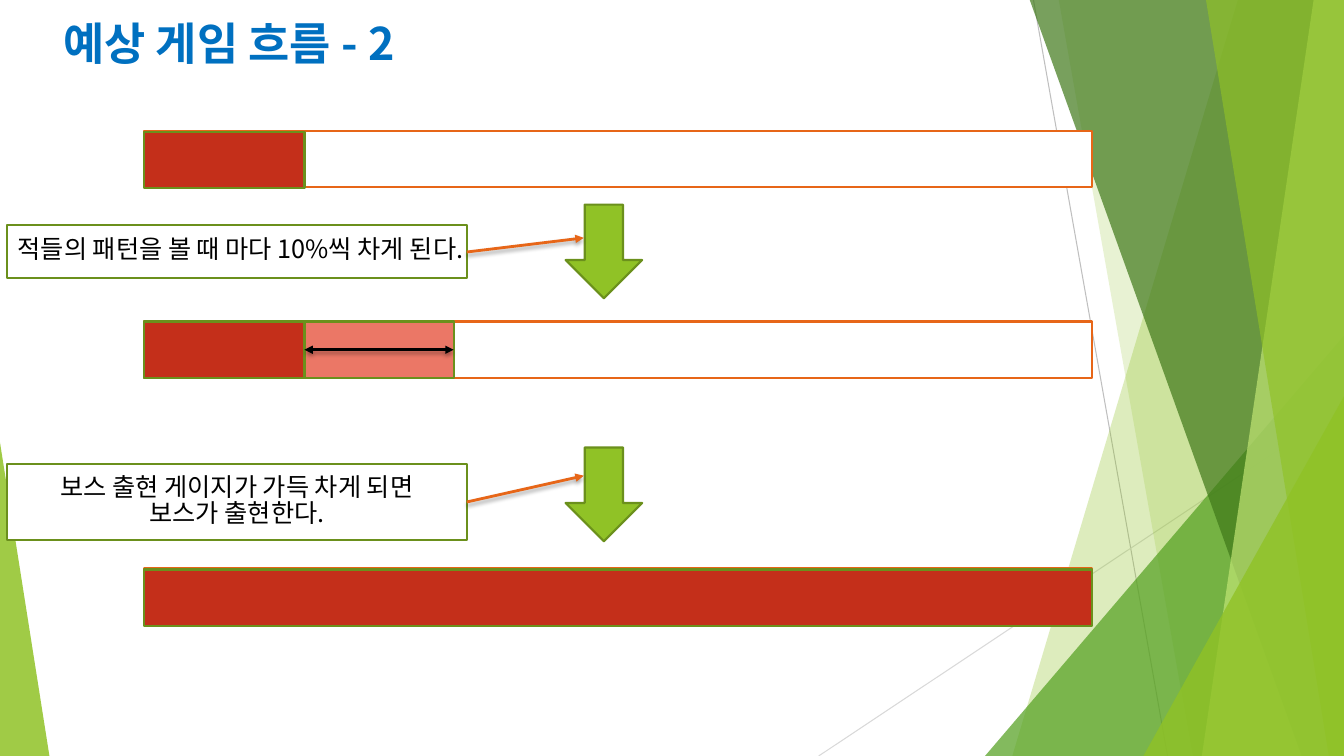
from typing import NamedTuple, Optional

from lxml.etree import SubElement
from pptx import Presentation
from pptx.dml.color import RGBColor
from pptx.enum.shapes import MSO_CONNECTOR as Link, MSO_SHAPE as Preset
from pptx.enum.text import MSO_ANCHOR as Anchor, PP_ALIGN as Align
from pptx.oxml.ns import qn
from pptx.util import Inches, Pt

FONT = "Noto Sans CJK KR"
COLORS = {
    "white": "FFFFFF", "black": "000000", "title": "0070C0",
    "lime": "90C226", "pale": "C0E474", "leaf": "54A021", "forest": "3F7819",
    "edge": "6B901C", "orange": "E76618", "red": "C42F1A", "pink": "EB7766",
    "gray": "BFBFBF", "silver": "D9D9D9",
}
TOP, BOTTOM, RIGHT = -0.01, 7.5, 13.33
GAUGE_LEFT, GAUGE_WIDTH, GAUGE_HEIGHT = 1.43, 9.4, 0.56
FILLED, GAINED = 1.59, 3.07


class Band(NamedTuple):
    """Slanted strip reaching the right edge of the page."""
    top_x: float
    bottom_x: float
    color: str
    alpha: int


class Corner(NamedTuple):
    left: float
    top: float
    width: float
    apex: float
    color: str
    alpha: int


class Bar(NamedTuple):
    top: float
    width: float
    fill: str
    line: str


class Step(NamedTuple):
    arrow_top: float
    note_top: float
    note_height: float
    link_start: float
    link_end: float
    lines: tuple[str, ...]


BANDS_BACK = [Band(12.28, 10.04, "lime", 30), Band(10.5, 11.83, "lime", 20)]
BANDS_FRONT = [Band(10.21, 12.91, "forest", 70), Band(13.03, 11.92, "pale", 70),
               Band(11.96, 13.18, "lime", 65)]
CORNER_BACK = Corner(9.77, 3.33, 3.56, 1, "leaf", 72)
CORNERS_FRONT = [Corner(11.34, 3.93, 1.99, 1, "lime", 80),
                 Corner(0, 4.39, 0.49, 0, "lime", 85)]
BARS = [
    Bar(1.3, GAUGE_WIDTH, "white", "orange"),
    Bar(1.31, FILLED, "red", "edge"),
    Bar(3.19, GAUGE_WIDTH, "white", "orange"),
    Bar(3.19, GAINED, "pink", "edge"),
    Bar(3.19, FILLED, "red", "edge"),
    Bar(5.64, GAUGE_WIDTH, "white", "orange"),
    Bar(5.65, GAUGE_WIDTH, "red", "edge"),
]
STEPS = [
    Step(2.03, 2.23, 0.53, 2.5, 2.36, ("적들의 패턴을 볼 때 마다 10%씩 차게 된다.",)),
    Step(4.44, 4.6, 0.76, 4.98, 4.72,
         ("보스 출현 게이지가 가득 차게 되면", "보스가 출현한다.")),
]

deck = Presentation()
deck.slide_width, deck.slide_height = Inches(RIGHT), Inches(BOTTOM)
page = deck.slides.add_slide(deck.slide_layouts[6])


def rgb(name: str) -> RGBColor:
    return RGBColor.from_string(COLORS[name])


def paint(shape, fill: str, line: Optional[str] = None, alpha: int = 100) -> None:
    shape.shadow.inherit = False
    shape.fill.solid()
    shape.fill.fore_color.rgb = rgb(fill)
    if alpha < 100:
        color = shape.fill._xPr.find(qn("a:solidFill"))[0]
        SubElement(color, qn("a:alpha"), val=str(alpha * 1000))
    if line:
        shape.line.color.rgb = rgb(line)
        shape.line.width = Pt(1.5)
    else:
        shape.line.fill.background()


def add_preset(kind, left: float, top: float, width: float, height: float,
               fill: str, line: Optional[str] = None, alpha: int = 100):
    shape = page.shapes.add_shape(
        kind, Inches(left), Inches(top), Inches(width), Inches(height))
    paint(shape, fill, line, alpha)
    return shape


def add_band(band: Band) -> None:
    builder = page.shapes.build_freeform(
        Inches(band.top_x), Inches(TOP), scale=1.0)
    corners = [(RIGHT, TOP), (RIGHT, BOTTOM), (band.bottom_x, BOTTOM)]
    builder.add_line_segments([(Inches(x), Inches(y)) for x, y in corners])
    paint(builder.convert_to_shape(), band.color, alpha=band.alpha)


def add_corner(corner: Corner) -> None:
    shape = add_preset(Preset.ISOSCELES_TRIANGLE, corner.left, corner.top,
                       corner.width, BOTTOM - corner.top, corner.color,
                       alpha=corner.alpha)
    shape.adjustments[0] = corner.apex


def add_line(start: tuple[float, float], end: tuple[float, float], color: str,
             width: float, heads: tuple[str, ...] = (), shadow: bool = False) -> None:
    line = page.shapes.add_connector(
        Link.STRAIGHT, *(Inches(value) for value in start + end))
    line.line.color.rgb = rgb(color)
    line.line.width = Pt(width)
    for head in heads:
        SubElement(line.line._get_or_add_ln(), qn(f"a:{head}"), type="triangle")
    effects = SubElement(line._element.spPr, qn("a:effectLst"))
    if shadow:
        outer = SubElement(effects, qn("a:outerShdw"), blurRad=str(Pt(3)),
                           dist=str(Pt(2)), dir="5400000", rotWithShape="0")
        tone = SubElement(outer, qn("a:srgbClr"), val=COLORS["black"])
        SubElement(tone, qn("a:alpha"), val="35000")


def write(box, lines: tuple[str, ...], *, size: float, color: str, bold: bool = False,
          align=Align.LEFT, anchor=Anchor.TOP, spacing: float = 1.0) -> None:
    frame = box.text_frame
    frame.word_wrap = True
    frame.vertical_anchor = anchor
    for index, text in enumerate(lines):
        para = frame.add_paragraph() if index else frame.paragraphs[0]
        para.alignment, para.line_spacing = align, spacing
        span = para.add_run()
        span.text = text
        span.font.size, span.font.bold = Pt(size), bold
        span.font.color.rgb = rgb(color)
        span.font.name = FONT
        SubElement(span.font._element, qn("a:ea"), typeface=FONT)


# Background decoration
add_line((10.25, 0), (11.58, BOTTOM), "gray", 0.75)
add_line((RIGHT, 4.03), (8.12, BOTTOM), "silver", 0.75)
for strip in BANDS_BACK:
    add_band(strip)
add_corner(CORNER_BACK)
for strip in BANDS_FRONT:
    add_band(strip)
for wedge in CORNERS_FRONT:
    add_corner(wedge)

# Title
title = page.shapes.add_textbox(Inches(0.53), Inches(0.17), Inches(9.4), Inches(0.75))
write(title, ("예상 게임 흐름 - 2",), size=32, color="title", bold=True, spacing=0.9)

# Boss gauges
for bar in BARS:
    add_preset(Preset.RECTANGLE, GAUGE_LEFT, bar.top, bar.width, GAUGE_HEIGHT,
               bar.fill, bar.line)
add_line((GAUGE_LEFT + FILLED, 3.47), (GAUGE_LEFT + GAINED, 3.47), "black", 2,
         heads=("headEnd", "tailEnd"), shadow=True)

# Steps between gauges
for step in STEPS:
    add_preset(Preset.DOWN_ARROW, 5.61, step.arrow_top, 0.76, 0.93, "lime", "edge")
    note = add_preset(Preset.RECTANGLE, 0.07, step.note_top, 4.56, step.note_height,
                      "white", "edge")
    write(note, step.lines, size=18, color="black", align=Align.CENTER,
          anchor=Anchor.MIDDLE, spacing=0.83)
    add_line((4.63, step.link_start), (5.79, step.link_end), "orange", 2,
             heads=("tailEnd",), shadow=True)

deck.save("out.pptx")
